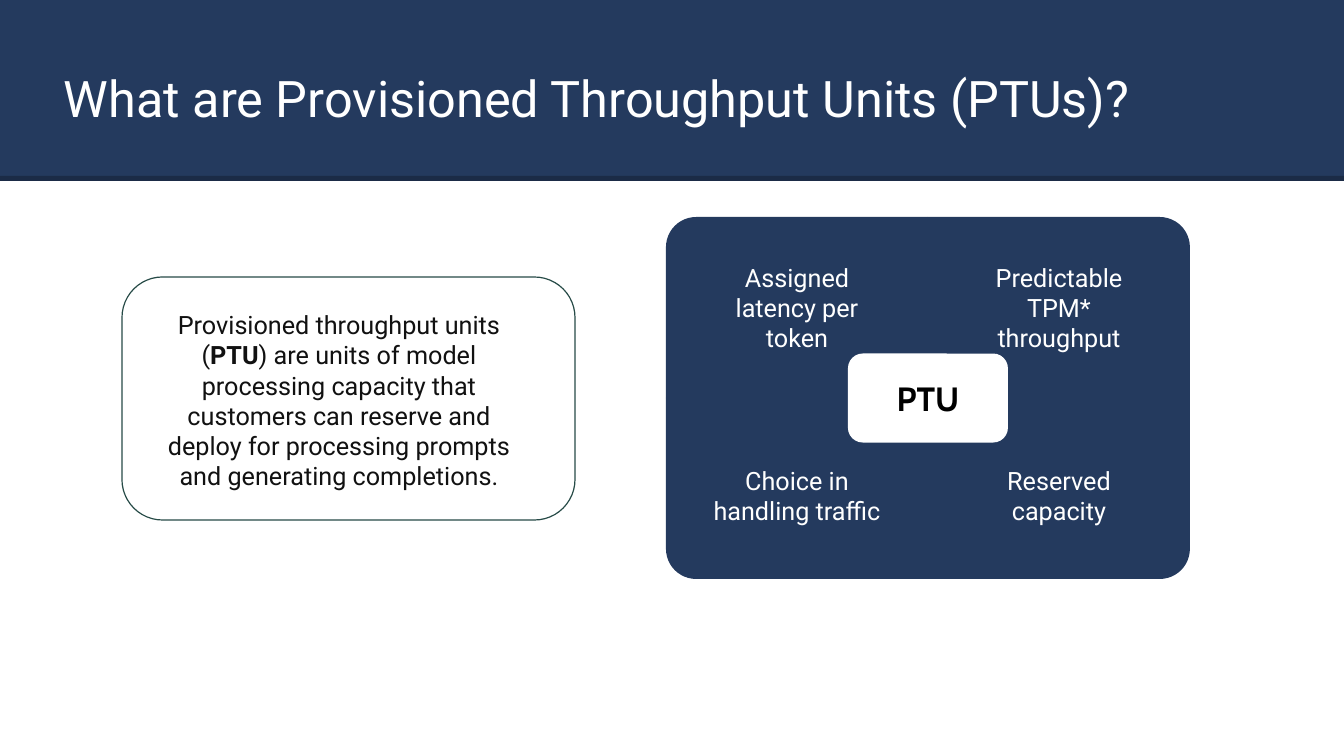
import pptx
import pptx.util
import pptx.dml.color
import pptx.enum.shapes
import pptx.enum.text

# Content
TITLE = "What are Provisioned Throughput Units (PTUs)?"
DEFINITION = [
    ("Provisioned throughput units (", False),
    ("PTU", True),
    (") are units of model processing capacity that customers can reserve and "
     "deploy for processing prompts and generating completions.", False),
]
HUB = "PTU"
BENEFITS = [
    ["Assigned latency per token", "Predictable TPM* throughput"],
    ["Choice in handling traffic", "Reserved capacity"],
]

# Look
COLORS = {"navy": "243A5E", "dark": "1B2B46", "white": "FFFFFF",
          "outline": "274B47", "ink": "111111", "black": "000000"}
TITLE_FONT = {"name": "Roboto", "size": 36, "color": "white"}
BODY_FONT = {"name": "Roboto", "size": 18, "color": "ink"}
LABEL_FONT = {"name": "Roboto", "size": 18, "color": "white"}
HUB_FONT = {"name": "Cabin", "size": 24, "color": "black"}

# Layout in px
PX = 914400 / 100.8
WIDTH, HEIGHT = 1344, 756
BAND_HEIGHT, STRIP_HEIGHT = 176, 5
GRID_LEFT, GRID_TOP, CELL_WIDTH, CELL_HEIGHT = 666, 217, 262, 181
LABEL_TOPS, LABEL_WIDTH, LABEL_HEIGHT = (262, 465), 184, 57
HUB_WIDTH, HUB_HEIGHT = 160, 89

SHAPES = pptx.enum.shapes.MSO_SHAPE
ANCHOR = pptx.enum.text.MSO_ANCHOR
CENTER = pptx.enum.text.PP_ALIGN.CENTER


def emu(*lengths):
    return [round(length * PX) for length in lengths]


def rgb(name):
    return pptx.dml.color.RGBColor.from_string(COLORS[name])


def add_block(page, kind, area, fill, line=None):
    shape = page.shapes.add_shape(kind, *emu(*area))
    shape.shadow.inherit = False
    shape.fill.solid()
    shape.fill.fore_color.rgb = rgb(fill)
    if line:
        shape.line.color.rgb = rgb(line)
        shape.line.width = pptx.util.Pt(0.85)
    else:
        shape.line.fill.background()
    return shape


def write(shape, spans, font, align=CENTER, anchor=ANCHOR.TOP):
    frame = shape.text_frame
    frame.word_wrap = True
    frame.vertical_anchor = anchor
    para = frame.paragraphs[0]
    para.alignment = align
    for text, bold in spans:
        span = para.add_run()
        span.text = text
        values = {"name": font["name"], "size": pptx.util.Pt(font["size"]), "bold": bold}
        for key, value in values.items():
            setattr(span.font, key, value)
        span.font.color.rgb = rgb(font["color"])


def add_label(page, area, text, font, align=CENTER):
    box = page.shapes.add_textbox(*emu(*area))
    for side in ("left", "top", "right", "bottom"):
        setattr(box.text_frame, "margin_" + side, 0)
    write(box, [(text, False)], font, align)


def main():
    deck = pptx.Presentation()
    deck.slide_width, deck.slide_height = emu(WIDTH, HEIGHT)
    page = deck.slides.add_slide(deck.slide_layouts[6])

    # Title band
    add_block(page, SHAPES.RECTANGLE, (0, 0, WIDTH, BAND_HEIGHT), "navy")
    add_block(page, SHAPES.RECTANGLE, (0, BAND_HEIGHT, WIDTH, STRIP_HEIGHT), "dark")
    add_label(page, (64, 67, 1215, 61), TITLE, TITLE_FONT, pptx.enum.text.PP_ALIGN.LEFT)

    # Definition card
    add_block(page, SHAPES.ROUNDED_RECTANGLE, (122, 277, 453, 243), "white", "outline")
    card = add_block(page, SHAPES.ROUNDED_RECTANGLE, (130, 294, 418, 214), "white")
    write(card, DEFINITION, BODY_FONT)

    # Quadrants, each with its rounded corner outwards
    for row in range(2):
        for column in range(2):
            area = (GRID_LEFT + column * CELL_WIDTH, GRID_TOP + row * CELL_HEIGHT,
                    CELL_WIDTH, CELL_HEIGHT)
            cell = add_block(page, SHAPES.ROUND_1_RECTANGLE, area, "navy")
            frame = cell.element.spPr.xfrm
            if column == 0:
                frame.set("flipH", "1")
            if row == 1:
                frame.set("flipV", "1")

    # Quadrant labels
    for top, labels in zip(LABEL_TOPS, BENEFITS):
        for column, text in enumerate(labels):
            left = GRID_LEFT + column * CELL_WIDTH + (CELL_WIDTH - LABEL_WIDTH) / 2
            add_label(page, (left, top, LABEL_WIDTH, LABEL_HEIGHT), text, LABEL_FONT)

    # Hub over the centre of the grid
    hub_area = (GRID_LEFT + CELL_WIDTH - HUB_WIDTH / 2,
                GRID_TOP + CELL_HEIGHT - HUB_HEIGHT / 2, HUB_WIDTH, HUB_HEIGHT)
    hub = add_block(page, SHAPES.ROUNDED_RECTANGLE, hub_area, "white")
    write(hub, [(HUB, True)], HUB_FONT, anchor=ANCHOR.MIDDLE)

    deck.save("out.pptx")


if __name__ == "__main__":
    main()
